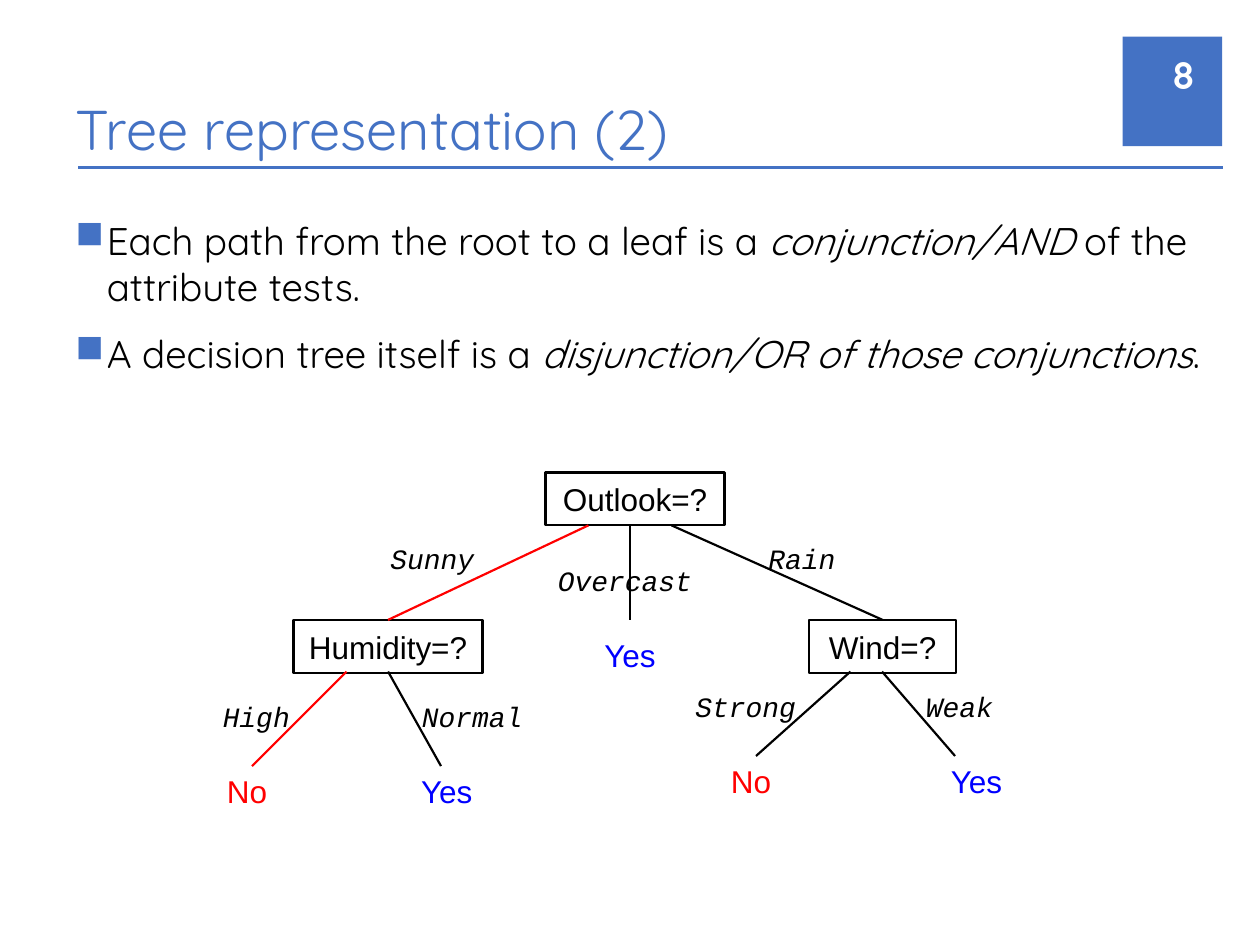
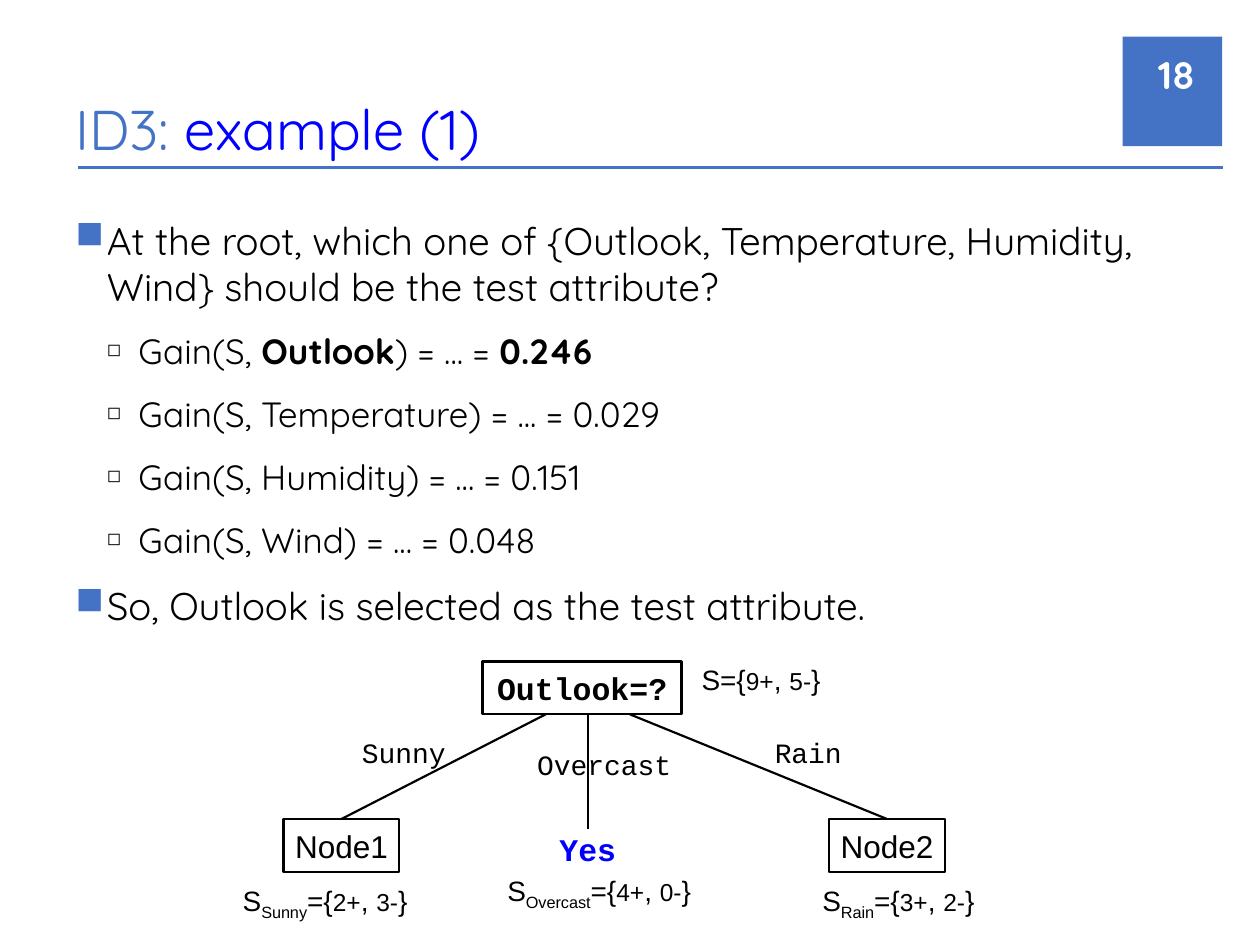
from pptx import Presentation
from pptx.dml.color import RGBColor
from pptx.enum.shapes import MSO_CONNECTOR as LINE, MSO_SHAPE as SHAPE
from pptx.enum.text import MSO_ANCHOR as ANCHOR, PP_ALIGN as ALIGN
from pptx.oxml.ns import qn
from pptx.util import Inches, Pt
from lxml.etree import SubElement

C = {"blue": "4472C4", "white": "FFFFFF", "black": "000000", "red": "FF0000", "link": "0000FF"}
TITLE = {"name": "Quicksand", "size": 32, "color": "blue"}
NUMBER = {"name": "Quicksand", "size": 22, "color": "white", "bold": True}
BODY = [
    {"name": "Quicksand", "size": 22, "color": "black"},
    {"name": "Quicksand", "size": 20, "color": "black"},
]
BULLETS = [("■", "blue", 100), ("◻", "black", 50)]
NODE = {"name": "Arial", "size": 18, "color": "black"}
BRANCH = {"name": "Courier New", "size": 16, "color": "black"}
COUNT = {"name": "Arial", "size": 16, "color": "black"}
SMALL, BOLD, ITALIC = {"size": 14}, {"bold": True}, {"italic": True}
YES, NO = {**NODE, "color": "link"}, {**NODE, "color": "red"}
NODE_H = 0.42


def rgb(name):
    """Return the named colour."""
    return RGBColor.from_string(C[name])


def add_runs(p, runs, base):
    """Add (text, format) runs over a base format; a plain string is one run."""
    for text, extra in [(runs, {})] if isinstance(runs, str) else runs:
        r = p.add_run()
        r.text = text
        for key, value in {**base, **extra}.items():
            if key == "color":
                r.font.color.rgb = rgb(value)
            elif key == "baseline":
                r.font._element.set(key, str(value))
            else:
                setattr(r.font, key, Pt(value) if key == "size" else value)


def set_frame(tf, wrap=True, anchor=ANCHOR.TOP, inset=None):
    """Set the wrapping, anchor and optional equal insets of a text frame."""
    tf.word_wrap, tf.vertical_anchor = wrap, anchor
    if inset is not None:
        for side in ("left", "top", "right", "bottom"):
            setattr(tf, f"margin_{side}", Inches(inset))


def add_text(s, box, runs, base, align=ALIGN.LEFT, **frame):
    """Add a one-paragraph text box."""
    tf = s.shapes.add_textbox(*map(Inches, box)).text_frame
    set_frame(tf, **frame)
    tf.paragraphs[0].alignment = align
    add_runs(tf.paragraphs[0], runs, base)


def add_line(s, start, end, color, width):
    """Add a straight line without shadow."""
    cx = s.shapes.add_connector(LINE.STRAIGHT, *map(Inches, (*start, *end)))
    cx.line.color.rgb, cx.line.width = rgb(color), Pt(width)
    SubElement(cx._element.spPr, qn("a:effectLst"))
    return cx


def add_header(s, title, number):
    """Draw the number tab, the title and the rule below it."""
    tab = s.shapes.add_shape(SHAPE.RECTANGLE, *map(Inches, (8.91, 0.29, 0.79, 0.87)))
    tab.shadow.inherit = False
    tab.fill.solid()
    tab.fill.fore_color.rgb = rgb("blue")
    tab.line.fill.background()
    add_text(s, (0.5, 0.5, 9.25, 0.83), title, TITLE, anchor=ANCHOR.BOTTOM)
    add_line(s, (0.62, 1.33), (9.71, 1.33), "blue", 2)
    add_text(s, (9.03, 0.39, 0.55, 0.4), str(number), NUMBER, ALIGN.RIGHT, anchor=ANCHOR.MIDDLE)


def add_body(s, box, items):
    """Write (level, runs) items as a bulleted list."""
    tf = s.shapes.add_textbox(*map(Inches, box)).text_frame
    set_frame(tf)
    for i, (level, runs) in enumerate(items):
        p = tf.add_paragraph() if i else tf.paragraphs[0]
        p.level, p.space_before = level, Pt(12)
        char, color, percent = BULLETS[level]
        pPr = p._p.get_or_add_pPr()
        pPr.set("marL", str(Inches(0.25 * (level + 1))))
        pPr.set("indent", str(Inches(-0.25)))
        SubElement(SubElement(pPr, qn("a:buClr")), qn("a:srgbClr"), val=C[color])
        SubElement(pPr, qn("a:buSzPct"), val=str(percent * 1000))
        SubElement(pPr, qn("a:buChar"), char=char)
        add_runs(p, runs, BODY[level])


def add_node(s, x, y, w, text, fmt):
    """Draw a test node of the tree."""
    sp = s.shapes.add_shape(SHAPE.RECTANGLE, *map(Inches, (x, y, w, NODE_H)))
    sp.shadow.inherit = False
    sp.fill.background()
    sp.line.color.rgb, sp.line.width = rgb("black"), Pt(1.25)
    set_frame(sp.text_frame, anchor=ANCHOR.MIDDLE, inset=0.05)
    p = sp.text_frame.paragraphs[0]
    p.alignment = ALIGN.CENTER
    add_runs(p, text, fmt)
    return sp


def add_tree(s, left, top, nodes, edges, labels):
    """Draw a tree from its top left; an edge ends at a node name or a point."""
    drawn = {text: add_node(s, left + x, top + y, w, text, {**NODE, **fmt})
             for text, x, y, w, fmt in nodes}
    for (x, y), end, color in edges:
        joined = isinstance(end, str)
        dx, dy = (x, y) if joined else end
        cx = add_line(s, (left + x, top + y), (left + dx, top + dy), color, 1.25)
        if joined:
            cx.end_connect(drawn[end], 0)
    for runs, (x, y, w, h), fmt, frame in labels:
        add_text(s, (left + x, top + y, w, h), runs, fmt, **frame)


def set_count(name, plus, minus):
    """Return the runs of a sample set with its class counts."""
    sub = [(name, {"baseline": -25000})] if name else []
    return [("S", {}), *sub, ("={", {}), (f"{plus}+", SMALL), (", ", {}),
            (f"{minus}-", SMALL), ("}", {})]


def tree_slide(prs, title, number, body, tree):
    """Build a slide with header, bulleted list and tree."""
    s = prs.slides.add_slide(prs.slide_layouts[6])
    add_header(s, title, number)
    add_body(s, (0.5, 1.67, 9.25, 5.83), body)
    add_tree(s, **tree)


def weather_tree():
    """Return the full tree with its answers."""
    branches = [("Sunny", 1.33, 0.5, 0.92), ("Overcast", 2.66, 0.67, 1.33),
                ("Rain", 4.33, 0.5, 0.75), ("High", 0, 1.75, 0.83),
                ("Normal", 1.58, 1.75, 1.08), ("Strong", 3.75, 1.67, 1.08),
                ("Weak", 5.58, 1.67, 0.75)]
    answers = [("No", 0, 2.33, 0.58, NO), ("Yes", 1.5, 2.33, 0.75, YES),
               ("Yes", 2.83, 1.25, 1, YES), ("No", 4, 2.25, 0.58, NO),
               ("Yes", 5.58, 2.25, 1, YES)]
    return {
        "left": 1.67, "top": 3.75,
        "nodes": [("Outlook=?", 2.66, 0, 1.42, {}), ("Humidity=?", 0.66, 1.17, 1.5, {}),
                  ("Wind=?", 4.75, 1.17, 1.17, {})],
        "edges": [((3, 0.42), "Humidity=?", "red"), ((3.33, 0.42), (3.33, 1.17), "black"),
                  ((3.66, 0.42), "Wind=?", "black"), ((1.08, 1.58), (0.33, 2.33), "red"),
                  ((1.41, 1.58), (1.83, 2.33), "black"), ((5.08, 1.58), (4.33, 2.25), "black"),
                  ((5.33, 1.58), (5.91, 2.25), "black")],
        "labels": [(t, (x, y, w, 0.37), {**BRANCH, **ITALIC}, {}) for t, x, y, w in branches]
        + [(t, (x, y, w, 0.4), f, {"align": ALIGN.CENTER}) for t, x, y, w, f in answers],
    }


def root_tree():
    """Return the root split with the sample counts."""
    centred = {"align": ALIGN.CENTER, "wrap": False, "inset": 0.01}
    bold_mono = {"name": "Courier New", **BOLD}
    labels = [("Sunny", (1, 0.58, 0.75, 0.3), BRANCH),
              ("Overcast", (2.34, 0.67, 1.25, 0.3), BRANCH),
              ("Rain", (4.25, 0.58, 0.67, 0.3), BRANCH),
              ("Yes", (2.5, 1.33, 0.67, 0.33), {**YES, **bold_mono}),
              (set_count("", 9, 5), (3.67, 0, 1.08, 0.3), COUNT),
              (set_count("Sunny", 2, 3), (0, 1.75, 1.5, 0.33), COUNT),
              (set_count("Overcast", 4, 0), (2.09, 1.67, 1.67, 0.33), COUNT),
              (set_count("Rain", 3, 2), (4.59, 1.75, 1.42, 0.33), COUNT)]
    return {
        "left": 1.83, "top": 5.25,
        "nodes": [("Outlook=?", 2, 0, 1.58, bold_mono), ("Node1", 0.42, 1.25, 0.92, {}),
                  ("Node2", 4.75, 1.25, 0.92, {})],
        "edges": [((2.5, 0.42), "Node1", "black"), ((2.84, 0.42), (2.84, 1.33), "black"),
                  ((3.17, 0.42), "Node2", "black")],
        "labels": [(*label, centred) for label in labels],
    }


def main():
    """Build both slides and save them."""
    prs = Presentation()
    prs.slide_width, prs.slide_height = Inches(10), Inches(7.5)
    paths = [
        (0, [("Each path from the root to a leaf is a ", {}), ("conjunction/AND", ITALIC),
             (" of the attribute tests.", {})]),
        (0, [("A decision tree itself is a ", {}),
             ("disjunction/OR of those conjunctions", ITALIC), (".", {})]),
    ]
    tree_slide(prs, "Tree representation (2)", 8, paths, weather_tree())
    others = [("Temperature", "0.029"), ("Humidity", "0.151"), ("Wind", "0.048")]
    gains = [
        (0, "At the root, which one of {Outlook, Temperature, Humidity, Wind} "
            "should be the test attribute?"),
        (1, [("Gain(S, ", {}), ("Outlook", BOLD), (") = ... = ", {}), ("0.246", BOLD)]),
        *[(1, f"Gain(S, {name}) = ... = {gain}") for name, gain in others],
        (0, "So, Outlook is selected as the test attribute."),
    ]
    title = [("ID3: ", {}), ("example (1)", {"color": "link"})]
    tree_slide(prs, title, 18, gains, root_tree())
    prs.save("out.pptx")


if __name__ == "__main__":
    main()
